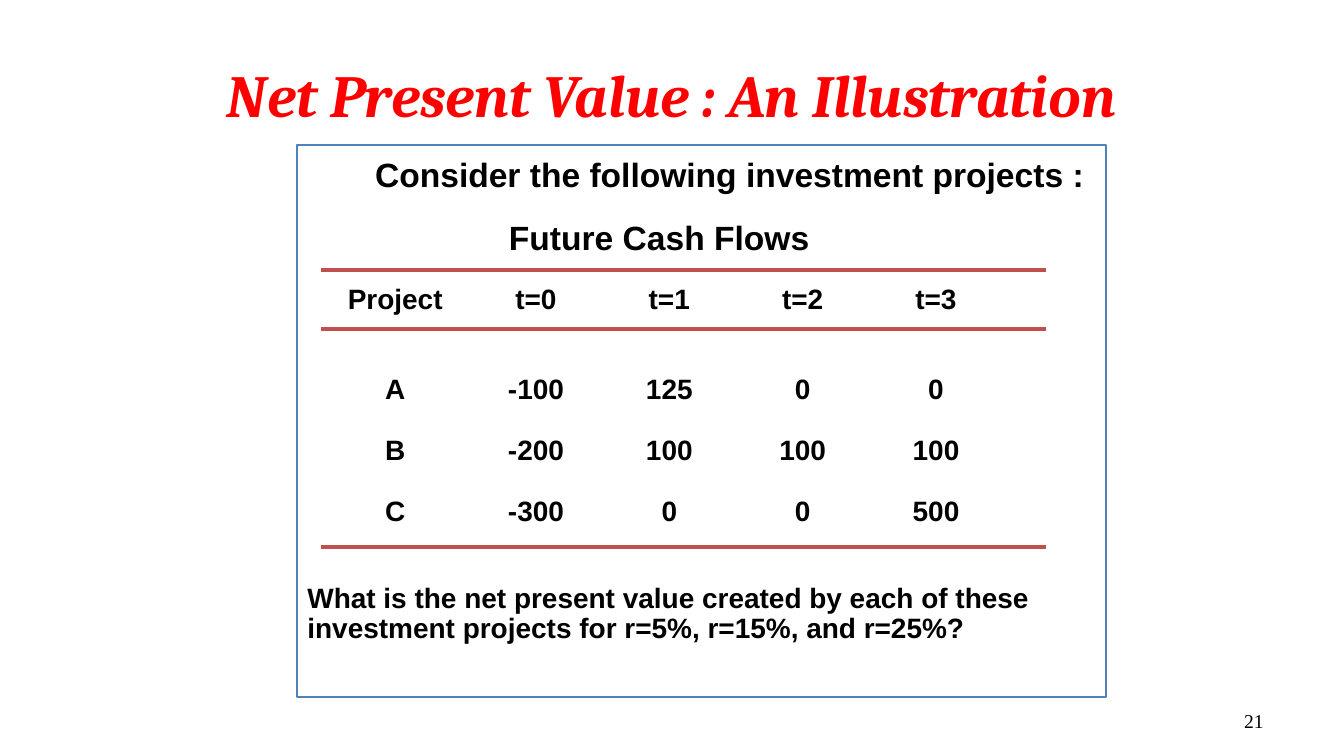
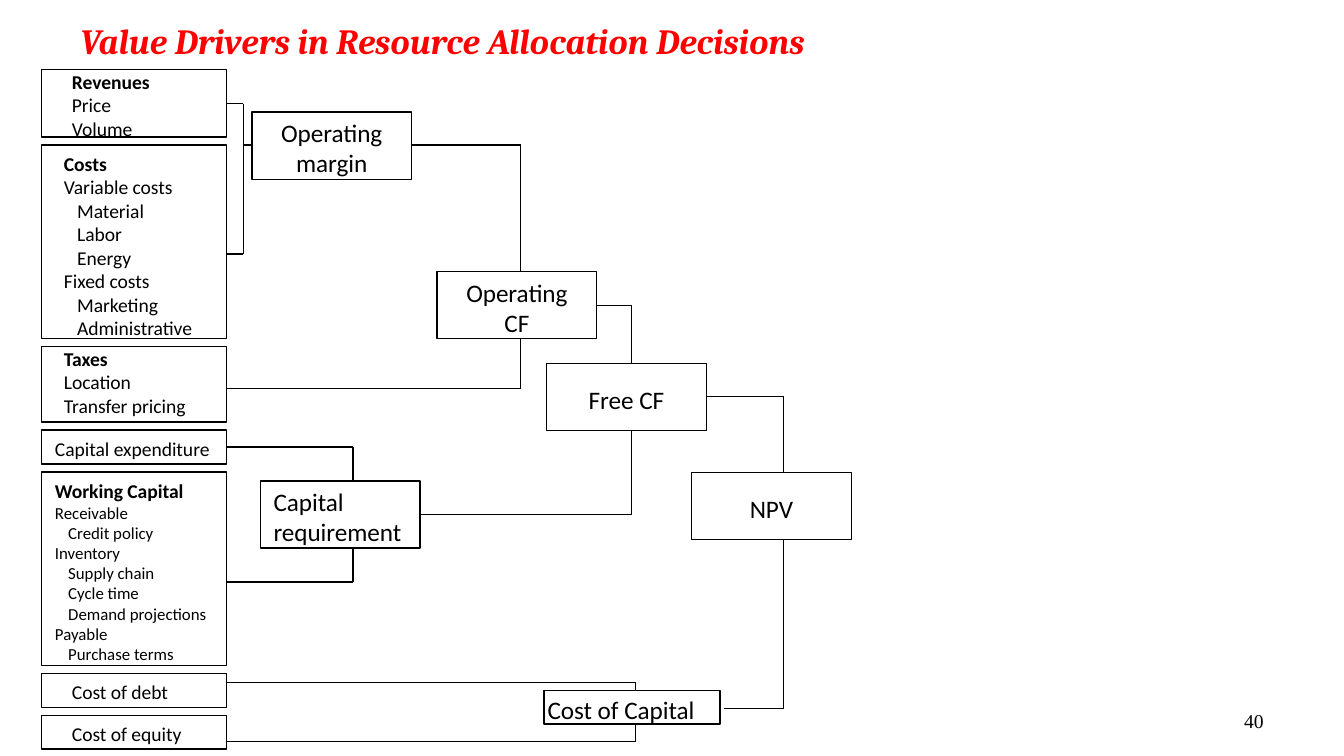
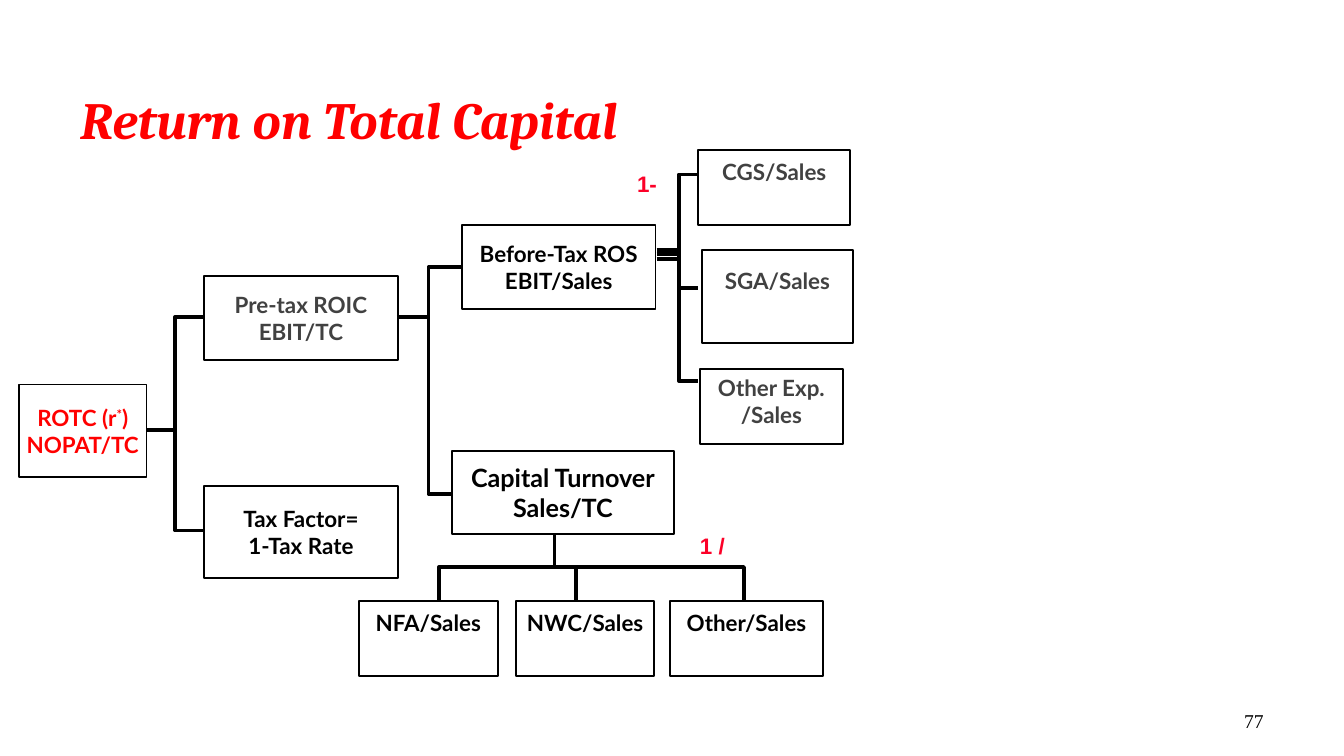
from lxml.etree import SubElement
from pptx import Presentation
from pptx.dml.color import RGBColor
from pptx.enum.shapes import MSO_CONNECTOR, MSO_SHAPE
from pptx.enum.text import MSO_ANCHOR, PP_ALIGN
from pptx.oxml.ns import qn
from pptx.util import Cm, Pt

RED = RGBColor(0xFF, 0x00, 0x00)
CRIMSON = RGBColor(0xFC, 0x01, 0x28)
BRICK = RGBColor(0xC0, 0x50, 0x4D)
BLUE = RGBColor(0x4F, 0x81, 0xBD)
GREY = RGBColor(0x41, 0x41, 0x41)
BLACK = RGBColor(0x00, 0x00, 0x00)
WHITE = RGBColor(0xFF, 0xFF, 0xFF)
LEFT, CENTER, RIGHT = PP_ALIGN.LEFT, PP_ALIGN.CENTER, PP_ALIGN.RIGHT
TOP, MIDDLE, BOTTOM = MSO_ANCHOR.TOP, MSO_ANCHOR.MIDDLE, MSO_ANCHOR.BOTTOM

# Cash flow slide: (text, left, top, width, size)
STATEMENTS = [
    ("Consider the following investment projects :", 6.84, 2.87, 14, 18),
    ("Future Cash Flows", 9.37, 4.06, 8, 18),
    ("What is the net present value created by each of these "
     "investment projects for r=5%, r=15%, and r=25%?", 5.56, 10.92, 15.2, 15),
]
CASH_FLOWS = [
    ("Project", "t=0", "t=1", "t=2", "t=3"),
    ("A", "-100", "125", "0", "0"),
    ("B", "-200", "100", "100", "100"),
    ("C", "-300", "0", "0", "500"),
]
COLUMN_WIDTHS = [2.8] + [2.52] * 4
ROW_HEIGHTS = [1.12, 1.7, 1.15, 1.15]
RULES = [5.11, 6.22, 10.34]

# Value driver slide: (height, text left, text top, detail size, lines);
# a line is (text, indent level)
DRIVERS = [
    (1.27, 0.57, 0, 10.5, [("Revenues", 0), ("Price", 0), ("Volume", 0)]),
    (3.66, 0.42, 0.13, 10.5, [
        ("Costs", 0), ("Variable costs", 0), ("Material", 1), ("Labor", 1),
        ("Energy", 1), ("Fixed costs", 0), ("Marketing", 1),
        ("Administrative", 1)]),
    (1.43, 0.42, 0, 10.5,
     [("Taxes", 0), ("Location", 0), ("Transfer pricing", 0)]),
    (0.64, 0.25, 0.13, 10.5, [("Capital expenditure", 0)]),
    (3.66, 0.25, 0.13, 9, [
        ("Working Capital", 0), ("Receivable", 0), ("Credit policy", 1),
        ("Inventory", 0), ("Supply chain", 1), ("Cycle time", 1),
        ("Demand projections", 1), ("Payable", 0), ("Purchase terms", 1)]),
    (0.64, 0.57, 0.13, 10.5, [("Cost of debt", 0)]),
    (0.64, 0.57, 0.13, 10.5, [("Cost of equity", 0)]),
]
DRIVER_LEFT, DRIVER_TOP, DRIVER_WIDTH, DRIVER_GAP = 0.79, 1.32, 3.49, 0.15
INDENT = 0.25

# (lines, left, top, width, height, alignment, text left)
RESULTS = [
    (["Operating", "margin"], 4.76, 2.12, 3.02, 1.27, CENTER, 0),
    (["Operating", "CF"], 8.26, 5.13, 3.02, 1.27, CENTER, 0),
    (["Free CF"], 10.33, 6.87, 3.02, 1.27, CENTER, 0),
    (["Capital", "requirement"], 4.92, 9.09, 3.02, 1.27, LEFT, 0.25),
    (["NPV"], 13.07, 8.93, 3.02, 1.27, CENTER, 0),
    (["Cost of Capital"], 10.28, 13.05, 3.33, 0.64, LEFT, 0.07),
]
ROUTES = [
    [(4.28, 1.96), (4.6, 1.96), (4.6, 4.8), (4.28, 4.8)],
    [(4.6, 2.74), (4.76, 2.74)],
    [(7.78, 2.74), (9.84, 2.74), (9.84, 5.13)],
    [(4.28, 7.34), (9.84, 7.34), (9.84, 6.4)],
    [(4.28, 8.45), (6.67, 8.45), (6.67, 9.09)],
    [(4.28, 11), (6.67, 11), (6.67, 10.36)],
    [(11.28, 5.77), (11.94, 5.77), (11.94, 6.87)],
    [(7.94, 9.73), (11.94, 9.73), (11.94, 8.14)],
    [(4.28, 12.9), (12.01, 12.9), (12.01, 13.05)],
    [(4.28, 14.02), (12.01, 14.02), (12.01, 13.69)],
    [(13.69, 13.39), (14.81, 13.39), (14.81, 10.2)],
    [(13.35, 7.5), (14.81, 7.5), (14.81, 8.93)],
]

# Return tree slide: (lines, left, top, width, height, size, colour, lift)
RATIOS = [
    (["ROTC (r*)", "NOPAT/TC"], 0.36, 7.27, 2.41, 1.75, 12, RED, 0),
    (["Pre-tax ROIC", "EBIT/TC"], 3.86, 5.22, 3.66, 1.58, 12, GREY, 0),
    (["Tax Factor=", "1-Tax Rate"], 3.86, 9.18, 3.66, 1.75, 12, BLACK, 0),
    (["Before-Tax ROS", "EBIT/Sales"], 8.73, 4.26, 3.66, 1.58, 12, BLACK, 0),
    (["Capital Turnover", "Sales/TC"], 8.54, 8.52, 4.2, 1.58, 13.5, BLACK, 0),
    (["CGS/Sales"], 13.2, 2.83, 2.87, 1.42, 12, GREY, 0.6),
    (["SGA/Sales"], 13.26, 4.73, 2.87, 1.75, 12, GREY, 0.6),
    (["Other Exp.", "/Sales"], 13.23, 6.97, 2.7, 1.42, 12, GREY, 0.18),
    (["NFA/Sales"], 6.78, 11.36, 2.63, 1.42, 12, BLACK, 0.6),
    (["NWC/Sales"], 9.76, 11.36, 2.6, 1.42, 12, BLACK, 0.6),
    (["Other/Sales"], 12.66, 11.36, 2.9, 1.42, 12, BLACK, 0.6),
]
# (start x, start y, turn x, end x, end y)
SIDE_BRANCHES = [
    (2.77, 8.13, 3.31, 3.86, 5.99), (2.77, 8.13, 3.31, 3.86, 10.03),
    (7.5, 5.99, 8.1, 8.72, 5.05), (7.65, 5.99, 8.1, 8.53, 9.34),
    (12.41, 4.8, 12.83, 13.2, 3.3), (12.41, 4.73, 12.83, 13.2, 5.44),
    (12.41, 4.9, 12.83, 13.2, 7.2),
]
TRUNK_X, TRUNK_TOP, TRUNK_TURN, TRUNK_END = 10.48, 10.08, 10.72, 11.36
DOWN_BRANCHES = [8.3, 10.88, 14.06]
OPERATORS = [("1-", 11.79, 3.15), ("1 /", 12.98, 9.98)]


def set_font(font, name, size, color, bold=False, italic=False):
    font.name, font.size, font.bold, font.italic = name, Pt(size), bold, italic
    font.color.rgb = color


def set_frame(shape, anchor, left=0.25, top=0.13, right=0.25, bottom=0.13):
    frame = shape.text_frame
    frame.word_wrap = True
    frame.vertical_anchor = anchor
    frame.margin_left, frame.margin_top = Cm(left), Cm(top)
    frame.margin_right, frame.margin_bottom = Cm(right), Cm(bottom)
    return frame


def add_paragraphs(frame, lines, align):
    """Fill the frame with one paragraph a line and return the paragraphs."""
    paragraphs = []
    for index, line in enumerate(lines):
        paragraph = frame.add_paragraph() if index else frame.paragraphs[0]
        paragraph.alignment = align
        # An asterisk after a symbol is raised
        base, star, rest = line.partition("*")
        for text in filter(None, (base, star, rest)):
            run = paragraph.add_run()
            run.text = text
            if text == "*":
                run.font._element.set("baseline", "30000")
        paragraphs.append(paragraph)
    return paragraphs


def add_label(slide, text, box, align=LEFT, anchor=TOP):
    shape = slide.shapes.add_textbox(*map(Cm, box))
    return add_paragraphs(set_frame(shape, anchor), [text], align)[0]


def add_box(slide, box, line_color, line_width, fill=None):
    shape = slide.shapes.add_shape(MSO_SHAPE.RECTANGLE, *map(Cm, box))
    shape.shadow.inherit = False
    if fill is None:
        shape.fill.background()
    else:
        shape.fill.solid()
        shape.fill.fore_color.rgb = fill
    shape.line.color.rgb = line_color
    shape.line.width = Pt(line_width)
    return shape


def add_line(slide, start, end, color, width):
    line = slide.shapes.add_connector(
        MSO_CONNECTOR.STRAIGHT, *map(Cm, (*start, *end)))
    SubElement(line._element.spPr, qn("a:effectLst"))
    line.line.color.rgb = color
    line.line.width = Pt(width)


def add_branch(slide, points):
    start, *others = [(Cm(x), Cm(y)) for x, y in points]
    builder = slide.shapes.build_freeform(*start)
    builder.add_line_segments(others, close=False)
    shape = builder.convert_to_shape()
    shape.shadow.inherit = False
    shape.fill.background()
    shape.line.color.rgb = BLACK
    shape.line.width = Pt(2)


def start_slide(presentation, title, top, height, size, number,
                align=LEFT, anchor=MIDDLE):
    slide = presentation.slides.add_slide(presentation.slide_layouts[6])
    heading = add_label(slide, title, (1.27, top, 22.86, height), align, anchor)
    set_font(heading.font, "Cambria", size, RED, bold=True, italic=True)
    footer = add_label(slide, number, (18.2, 13.24, 5.93, 0.76), RIGHT, MIDDLE)
    set_font(footer.font, "Times New Roman", 10.5, BLACK)
    return slide


def build_illustration(presentation):
    slide = start_slide(presentation, "Net Present Value : An Illustration",
                        0.58, 2.39, 32, "21", align=CENTER)
    add_box(slide, (5.61, 2.74, 15.29, 10.44), BLUE, 1, WHITE)
    for text, left, top, width, size in STATEMENTS:
        paragraph = add_label(slide, text, (left, top, width, 1))
        paragraph.line_spacing = 0.9
        set_font(paragraph.font, "Arial", size, BLACK, bold=True)

    # Cash flow table
    table = slide.shapes.add_table(
        len(CASH_FLOWS), len(COLUMN_WIDTHS), Cm(6.07), Cm(RULES[0]),
        Cm(sum(COLUMN_WIDTHS)), Cm(sum(ROW_HEIGHTS))).table
    table.first_row = table.horz_banding = False
    for column, width in zip(table.columns, COLUMN_WIDTHS):
        column.width = Cm(width)
    for index, (row, height) in enumerate(zip(table.rows, ROW_HEIGHTS)):
        row.height = Cm(height)
        for cell, value in zip(row.cells, CASH_FLOWS[index]):
            cell.fill.background()
            cell.vertical_anchor = BOTTOM if index else MIDDLE
            cell.margin_left = cell.margin_right = cell.margin_top = 0
            cell.margin_bottom = Cm(0.27) if index else 0
            paragraph = add_paragraphs(cell.text_frame, [value], CENTER)[0]
            set_font(paragraph.font, "Arial", 15, BLACK, bold=True)
    for y in RULES:
        add_line(slide, (6.07, y), (19.76, y), BRICK, 2)


def build_value_drivers(presentation):
    slide = start_slide(presentation,
                        "Value Drivers in Resource Allocation Decisions",
                        0.18, 1.17, 19, "40")
    # Driver column
    top = DRIVER_TOP
    for height, text_left, text_top, size, lines in DRIVERS:
        shape = add_box(slide, (DRIVER_LEFT, top, DRIVER_WIDTH, height),
                        BLACK, 0.75)
        frame = set_frame(shape, TOP, text_left, text_top, 0, 0)
        texts = [text for text, level in lines]
        paragraphs = add_paragraphs(frame, texts, LEFT)
        for index, paragraph in enumerate(paragraphs):
            heading = index == 0
            level = lines[index][1]
            if level:
                paragraph._p.get_or_add_pPr().set("marL", str(Cm(INDENT * level)))
            set_font(paragraph.font, "Calibri", 10.5 if heading else size,
                     BLACK, bold=heading and len(lines) > 1)
        top += height + DRIVER_GAP

    # Results and the lines that lead to them
    for lines, left, top, width, height, align, text_left in RESULTS:
        shape = add_box(slide, (left, top, width, height), BLACK, 0.75)
        frame = set_frame(shape, MIDDLE, text_left, 0.08, 0, 0)
        for paragraph in add_paragraphs(frame, lines, align):
            set_font(paragraph.font, "Calibri", 13.5, BLACK)
    for route in ROUTES:
        for start, end in zip(route, route[1:]):
            add_line(slide, start, end, BLACK, 0.75)


def build_return_tree(presentation):
    slide = start_slide(presentation, "Return on Total Capital",
                        0.58, 2.39, 28, "77", anchor=BOTTOM)
    for lines, left, top, width, height, size, color, lift in RATIOS:
        shape = add_box(slide, (left, top, width, height), BLACK, 1)
        frame = set_frame(shape, MIDDLE, 0, 0, 0, lift)
        for paragraph in add_paragraphs(frame, lines, CENTER):
            set_font(paragraph.font, "Lato", size, color, bold=True)

    # Branches
    for x, y, turn, end_x, end_y in SIDE_BRANCHES:
        add_branch(slide, [(x, y), (turn, y), (turn, end_y), (end_x, end_y)])
    for x in DOWN_BRANCHES:
        add_branch(slide, [(TRUNK_X, TRUNK_TOP), (TRUNK_X, TRUNK_TURN),
                           (x, TRUNK_TURN), (x, TRUNK_END)])
    for text, left, top in OPERATORS:
        paragraph = add_label(slide, text, (left, top, 1.1, 0.71))
        paragraph.line_spacing = 0.9
        set_font(paragraph.font, "Arial", 12, CRIMSON, bold=True)


def main():
    presentation = Presentation()
    presentation.slide_width, presentation.slide_height = Cm(25.4), Cm(14.29)
    build_illustration(presentation)
    build_value_drivers(presentation)
    build_return_tree(presentation)
    presentation.save("out.pptx")


if __name__ == "__main__":
    main()
